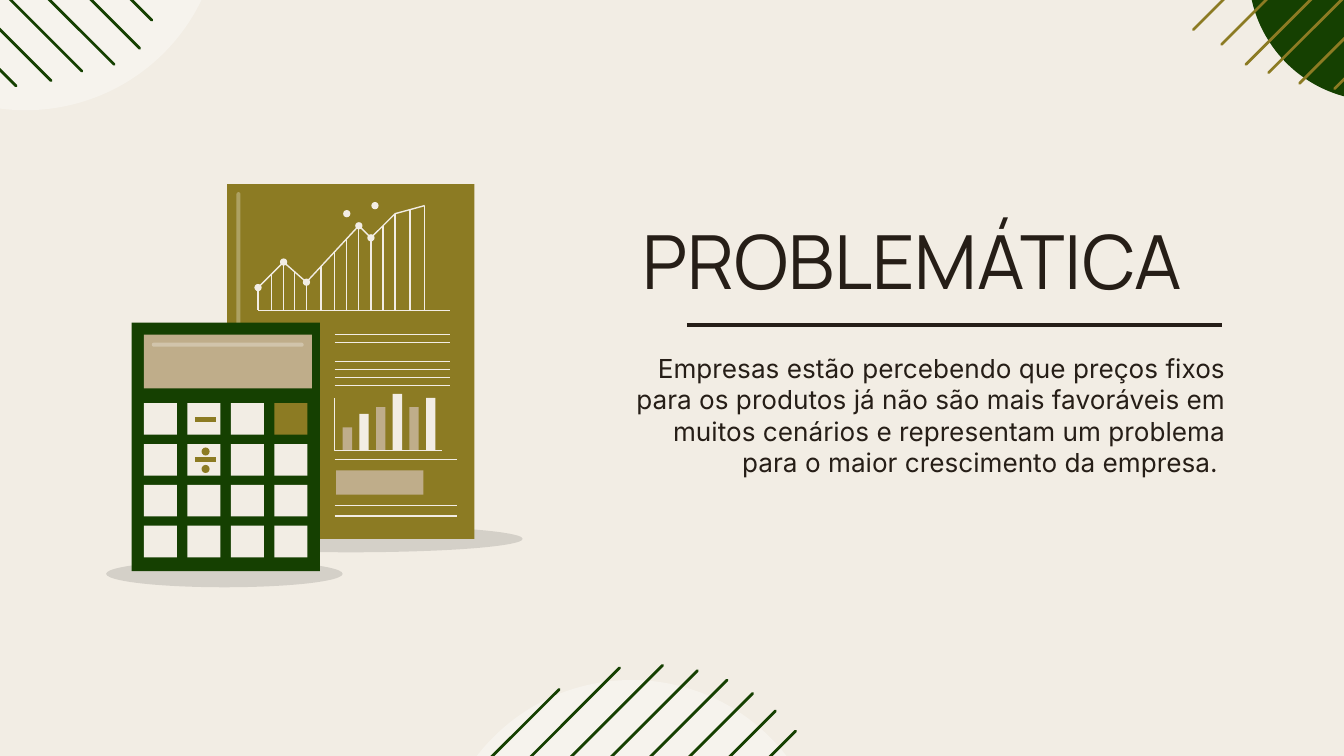
from dataclasses import dataclass
from lxml import etree
from pptx import Presentation
from pptx.dml.color import RGBColor
from pptx.enum.shapes import MSO_CONNECTOR, MSO_SHAPE
from pptx.enum.text import MSO_ANCHOR, MSO_AUTO_SIZE, PP_ALIGN
from pptx.oxml.ns import qn
from pptx.util import Inches, Pt

RECT = MSO_SHAPE.RECTANGLE
ROUND = MSO_SHAPE.ROUNDED_RECTANGLE
OVAL = MSO_SHAPE.OVAL
STRAIGHT = MSO_CONNECTOR.STRAIGHT
TOP, MIDDLE = MSO_ANCHOR.TOP, MSO_ANCHOR.MIDDLE
RIGHT = PP_ALIGN.RIGHT
NO_FIT = MSO_AUTO_SIZE.NONE

CELL = Inches(0.01)  # side of one cell of the slide grid
COLS, ROWS = 1000, 562.5


@dataclass(frozen=True)
class Theme:
    cream: str = "F2EDE4"
    green: str = "154001"
    gold: str = "8C7B23"
    tan: str = "BFAD8A"
    ink: str = "261E17"
    white: str = "FFFFFF"
    black: str = "000000"
    head: str = "Manrope"
    body: str = "Inter"
    head_size: float = 40
    body_size: float = 14
    thin: float = 0.75
    stripe: float = 1.5
    rule: float = 2.25
    sign: float = 2.85


T = Theme()


@dataclass(frozen=True)
class Box:
    """A region in grid cells; positions given to it count from its corner."""
    x: float
    y: float
    w: float
    h: float

    def at(self, x, y):
        return round((self.x + x) * CELL), round((self.y + y) * CELL)


def tint(fill, color):
    fill.solid()
    fill.fore_color.rgb = RGBColor.from_string(color)


def block(slide, box, x, y, w, h, color, kind=RECT, alpha=100):
    shape = slide.shapes.add_shape(
        kind, *box.at(x, y), round(w * CELL), round(h * CELL))
    shape.shadow.inherit = False
    shape.line.fill.background()
    tint(shape.fill, color)
    if alpha < 100:
        tone = shape.element.spPr.find(qn("a:solidFill"))[0]
        etree.SubElement(tone, qn("a:alpha")).set("val", str(alpha * 1000))
    if kind == ROUND:
        shape.adjustments[0] = 0.5


def line(slide, box, start, end, color=T.cream, width=T.thin, cap="flat"):
    link = slide.shapes.add_connector(STRAIGHT, *box.at(*start), *box.at(*end))
    tint(link.line.fill, color)
    link.line.width = Pt(width)
    props = link.element.spPr
    props.get_or_add_ln().set("cap", cap)
    etree.SubElement(props, qn("a:effectLst"))


def trace(slide, box, points):
    """Draw an open line through the points."""
    first, *rest = [box.at(*point) for point in points]
    pen = slide.shapes.build_freeform(*first)
    pen.add_line_segments(rest, close=False)
    shape = pen.convert_to_shape()
    shape.shadow.inherit = False
    shape.fill.background()
    tint(shape.line.fill, T.cream)
    shape.line.width = Pt(T.thin)


def corner(slide, box, tips, way, fill, alpha, color):
    """Place a disc with diagonal stripes running from its tips off the slide."""
    spans = (200, 206, 200, 186, 171, 149, 116, 54)
    block(slide, box, 0, 0, box.w, box.h, fill, OVAL, alpha)
    for (x, y), span in zip(tips, spans):
        end = x + way[0] * span, y + way[1] * span
        line(slide, box, (x, y), end, color, T.stripe, "rnd")


def height(points, x):
    """Find the trend's y at x."""
    for (x0, y0), (x1, y1) in zip(points, points[1:]):
        if x0 <= x <= x1:
            return y0 + (y1 - y0) * (x - x0) / (x1 - x0)


def trend(slide, box):
    base = 94
    points = [(23, 77), (42, 58), (59, 73), (98, 31), (107, 40),
              (125, 22), (147, 16)]
    line(slide, box, (23, base), (166, base))
    trace(slide, box, points)
    for x in (23, 33, 42, 50, 59, 70, 80, 89, 98, 107, 116, 125, 136, 147):
        line(slide, box, (x, height(points, x)), (x, base))
    size = 5.4
    for x, y in points[:5] + [(89, 22), (110, 16)]:
        block(slide, box, x - size / 2, y - size / 2, size, size, T.cream, OVAL)


def bars(slide, box):
    base = 198
    for i, tall in enumerate((17, 27, 32, 42, 32, 39)):
        block(slide, box, 86 + i * 12.4, base - tall, 7, tall,
              (T.tan, T.cream)[i % 2])
    trace(slide, box, [(80, 159), (80, base), (160, base)])


def report(slide, box):
    block(slide, box, -36, 254, 256, 20, T.black, OVAL, 12)
    block(slide, box, 0, 0, box.w, box.h, T.gold)
    block(slide, box, 7, 6, 3, 112, T.white, ROUND, 29)
    trend(slide, box)
    for y in (112, 118, 132, 138, 144, 150):
        line(slide, box, (80, y), (166, y))
    bars(slide, box)
    block(slide, box, 81, 213, 65, 18, T.tan)
    for y in (205, 239, 247):
        line(slide, box, (80, y), (171, y))


def keypad(slide, box):
    for row in range(4):
        for col in range(4):
            color = T.gold if (row, col) == (0, 3) else T.cream
            block(slide, box, 9 + col * 32.4, 60 + row * 30.4, 24.6, 23.5, color)
    for y in (72, 102):
        line(slide, box, (47, y), (63, y), T.gold, T.sign)
    for y in (93, 106):
        block(slide, box, 52, y, 6, 6, T.gold, OVAL)


def adder(slide, box):
    block(slide, box, -19, 177, 176, 20, T.black, OVAL, 12)
    block(slide, box, 0, 0, box.w, box.h, T.green)
    block(slide, box, 9, 9, 125, 40, T.tan)
    block(slide, box, 15, 15, 113, 3, T.white, ROUND, 29)
    keypad(slide, box)


def write(holder, box, text, face, size, anchor, left, right):
    holder.left, holder.top = box.at(0, 0)
    holder.width, holder.height = round(box.w * CELL), round(box.h * CELL)
    frame = holder.text_frame
    frame.text = text
    frame.word_wrap = True
    frame.auto_size = NO_FIT
    frame.vertical_anchor = anchor
    frame.margin_left, frame.margin_right = left * CELL, right * CELL
    frame.margin_top = frame.margin_bottom = 10 * CELL
    para = frame.paragraphs[0]
    para.alignment = RIGHT
    para.space_before = Pt(0)
    font = para.runs[0].font
    font.name, font.size = face, Pt(size)
    font.color.rgb = RGBColor.from_string(T.ink)


def message(slide, box):
    write(slide.shapes.title, Box(box.x + 15, box.y, 454, 88), "PROBLEMÁTICA",
          T.head, T.head_size, MIDDLE, 0, 43)
    write(slide.placeholders[1], Box(box.x, box.y + 103, box.w, 127),
          "Empresas estão percebendo que preços fixos para os produtos já não "
          "são mais favoráveis em muitos cenários e representam um problema "
          "para o maior crescimento da empresa. ",
          T.body, T.body_size, TOP, 10, 10)
    line(slide, box, (58, 93), (456, 93), T.ink, T.rule)


def main():
    deck = Presentation()
    deck.slide_width, deck.slide_height = COLS * CELL, round(ROWS * CELL)
    slide = deck.slides.add_slide(deck.slide_layouts[0])
    tint(slide.background.fill, T.cream)
    corner(slide, Box(929, -117, 192, 192),
           [(-41, 139), (-20, 150), (-2, 165), (15, 171), (38, 179), (64, 183)],
           (1, -1), T.green, 100, T.gold)
    corner(slide, Box(-126, -206, 290, 288),
           [(239, 221), (230, 242), (211, 254), (187, 259), (164, 266),
            (138, 270)],
           (-1, -1), T.white, 36, T.green)
    corner(slide, Box(325, 506, 290, 288),
           [(267, 38), (252, 23), (235, 10), (216, 0), (194, -7), (168, -11),
            (136, -9), (91, 7)],
           (-1, 1), T.white, 36, T.green)
    message(slide, Box(453, 149, 469, 230))
    report(slide, Box(169, 137, 184, 264))
    adder(slide, Box(98, 240, 140, 185))
    deck.save("out.pptx")


if __name__ == "__main__":
    main()
